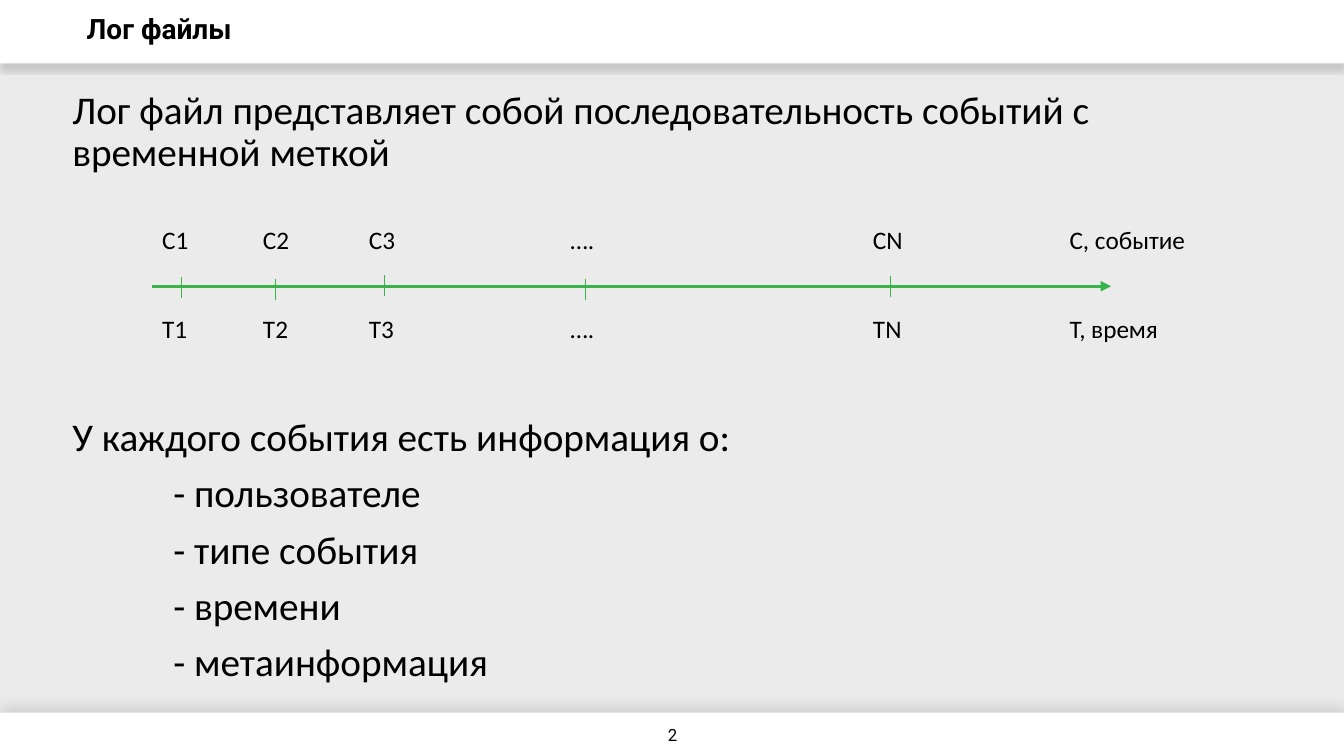
from pptx import Presentation
from pptx.dml.color import RGBColor
from pptx.enum.shapes import MSO_CONNECTOR, MSO_SHAPE
from pptx.enum.text import MSO_ANCHOR, PP_ALIGN
from pptx.oxml import parse_xml
from pptx.oxml.ns import nsdecls, qn
from pptx.util import Pt

BLACK = RGBColor(0x00, 0x00, 0x00)
WHITE = RGBColor(0xFF, 0xFF, 0xFF)
GRAY = RGBColor(0xEB, 0xEB, 0xEB)
GREEN = RGBColor(0x37, 0xB3, 0x4A)
SCALE = 9144
WIDTH, HEIGHT = 1333, 750


def px(num):
    return num * SCALE


def write(para, text, size=18, font="Calibri", bold=False, align=PP_ALIGN.LEFT,
          line=1.0, before=0, indent=0, tabs=()):
    run = para.add_run()
    run.text = text
    run.font.size = Pt(size)
    run.font.name = font
    run.font.bold = bold
    run.font.color.rgb = BLACK
    para.alignment = align
    para.line_spacing = line
    para.space_before = Pt(before)
    props = para._p.get_or_add_pPr()
    if indent:
        props.set("marL", str(px(indent)))
        props.set("indent", "0")
    if tabs:
        stops = "".join(f'<a:tab pos="{px(tab)}" algn="l"/>' for tab in tabs)
        props.append(parse_xml(f'<a:tabLst {nsdecls("a")}>{stops}</a:tabLst>'))


class Deck:
    def __init__(self):
        self.file = Presentation()
        self.file.slide_width, self.file.slide_height = px(WIDTH), px(HEIGHT)
        self.slide = self.file.slides.add_slide(self.file.slide_layouts[5])
        self.shapes = self.slide.shapes
        fill = self.slide.background.fill
        fill.solid()
        fill.fore_color.rgb = GRAY

    def title(self, text, box):
        shape = self.shapes.title
        shape.left, shape.top, shape.width, shape.height = map(px, box)
        shape.text_frame.vertical_anchor = MSO_ANCHOR.MIDDLE
        write(shape.text_frame.paragraphs[0], text, size=20, font="Roboto",
              bold=True, line=0.9)

    def bar(self, top, high, alpha, blur, angle):
        shape = self.shapes.add_shape(MSO_SHAPE.RECTANGLE, 0, px(top), px(WIDTH), px(high))
        shape.fill.solid()
        shape.fill.fore_color.rgb = WHITE
        shape.line.fill.background()
        shape.shadow.inherit = False
        shape.element.spPr.find(qn("a:effectLst")).append(parse_xml(
            f'<a:outerShdw {nsdecls("a")} blurRad="{Pt(blur)}" dist="{Pt(4)}" '
            f'dir="{angle * 60000}" algn="ctr" rotWithShape="0"><a:srgbClr val="{BLACK}">'
            f'<a:alpha val="{alpha * 1000}"/></a:srgbClr></a:outerShdw>'))
        self.shapes.title.element.addprevious(shape.element)

    def text(self, box, paras, anchor=MSO_ANCHOR.TOP):
        frame = self.shapes.add_textbox(*map(px, box)).text_frame
        frame.word_wrap = True
        frame.vertical_anchor = anchor
        for idx, (text, style) in enumerate(paras):
            para = frame.add_paragraph() if idx else frame.paragraphs[0]
            write(para, text, **style)

    def line(self, start, end, width, arrow=False):
        shape = self.shapes.add_connector(MSO_CONNECTOR.STRAIGHT, *map(px, start + end))
        shape.line.color.rgb = GREEN
        shape.line.width = Pt(width)
        props = shape.element.spPr
        if arrow:
            props.find(qn("a:ln")).append(
                parse_xml(f'<a:tailEnd {nsdecls("a")} type="triangle"/>'))
        props.append(parse_xml(f'<a:effectLst {nsdecls("a")}/>'))


def main():
    deck = Deck()
    deck.bar(0, 63, alpha=14, blur=4, angle=90)
    deck.bar(707, 43, alpha=13, blur=9, angle=270)
    deck.title("Лог файлы", (76, -6, 1150, 72))

    body = dict(size=28, line=0.9, before=10)
    items = ["пользователе", "типе события", "времени", "метаинформация"]
    deck.text((62, 85, 1179, 608), [
        ("Лог файл представляет собой последовательность событий с временной меткой", body),
        ("У каждого события есть информация о:", body | dict(before=173)),
        *((f"- {item}", body | dict(indent=100)) for item in items),
    ])

    deck.line((151, 284), (1102, 284), 2.5, arrow=True)
    for left, top in [(180, 275), (273, 277), (381, 273), (581, 277), (883, 274)]:
        deck.line((left, top), (left, top + 21), 0.5)

    stops = dict(tabs=(100, 205, 405, 705, 900))
    events = ["С1", "С2", "С3", "….", "СN", "С, событие"]
    times = ["T1", "T2", "T3", "….", "TN", "T, время"]
    for top, labels in [(218, events), (306, times)]:
        deck.text((151, top, 1075, 101), [("\t".join(labels), stops)])

    deck.text((517, 709, 300, 40),
              [("2", dict(size=12, font="Roboto", align=PP_ALIGN.CENTER))],
              anchor=MSO_ANCHOR.MIDDLE)
    deck.file.save("out.pptx")


if __name__ == "__main__":
    main()
